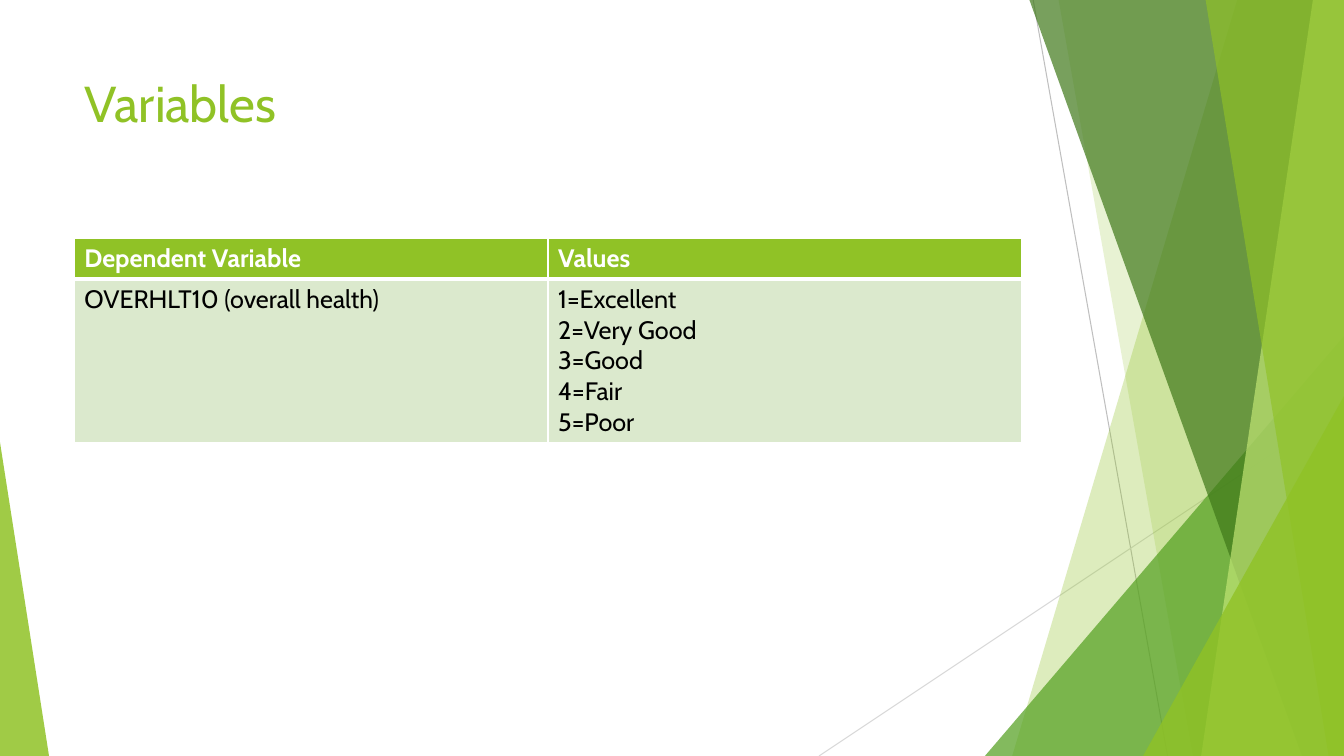
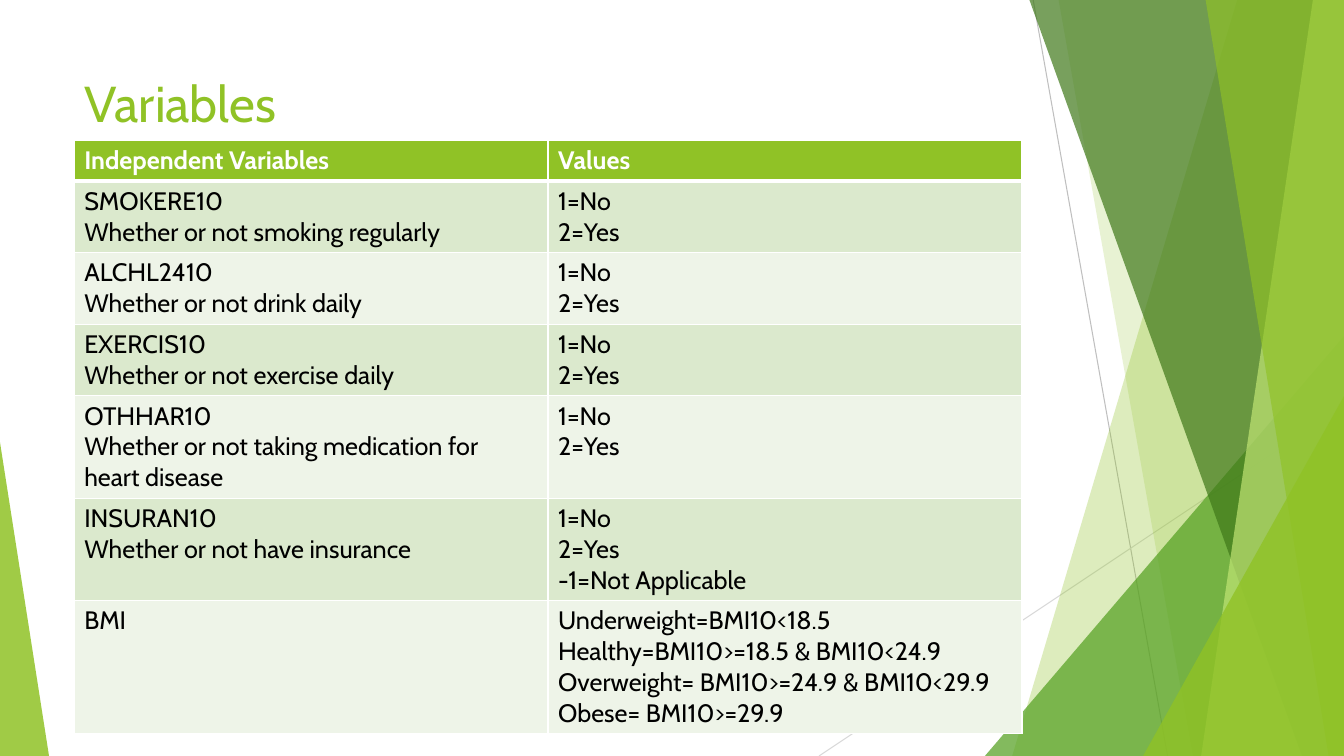
from math import ceil

from lxml import etree
from pptx import Presentation
from pptx.dml.color import RGBColor
from pptx.enum import shapes, text
from pptx.oxml.ns import qn
from pptx.util import Pt

WIDE, HIGH = 960, 540
LEFT, SPAN = 53, 677
FONT = "Cabin"
LIME, WHITE, BLACK = "90C226", "FFFFFF", "000000"
BANDS = ["DBE9CD", "EEF4E8"]
WRAP = 40  # characters that fit on one line of a cell
EDGE, THICK = 1, 3

YESNO = ["1=No", "2=Yes"]
SLIDES = [
    {"title": "Variables", "top": 170, "rows": [
        (["Dependent Variable"], ["Values"]),
        (["OVERHLT10 (overall health)"],
         ["1=Excellent", "2=Very Good", "3=Good", "4=Fair", "5=Poor"]),
    ]},
    {"title": "Variables", "top": 100, "rows": [
        (["Independent Variables"], ["Values"]),
        (["SMOKERE10", "Whether or not smoking regularly"], YESNO),
        (["ALCHL2410", "Whether or not drink daily"], YESNO),
        (["EXERCIS10", "Whether or not exercise daily"], YESNO),
        (["OTHHAR10", "Whether or not taking medication for heart disease"],
         YESNO),
        (["INSURAN10", "Whether or not have insurance"],
         YESNO + ["-1=Not Applicable"]),
        (["BMI"],
         ["Underweight=BMI10<18.5",
          "Healthy=BMI10>=18.5 & BMI10<24.9",
          "Overweight= BMI10>=24.9 & BMI10<29.9",
          "Obese= BMI10>=29.9"]),
    ]},
]

# Start, end, colour
LINES = [((738, 0), (834, HIGH), "BFBFBF"), ((WIDE, 290), (585, HIGH), "D9D9D9")]

# Back to front. Blade: x at top, x at foot. Wedge: left, top, width, peak.
FACETS = [
    ("blade", (884, 723), LIME, 30),
    ("blade", (756, 852), LIME, 20),
    ("wedge", (703.5, 240, 256.5, 1), "54A021", 72),
    ("blade", (735, 930), "3F7819", 70),
    ("blade", (938, 858), "C0E474", 70),
    ("blade", (861, 949), LIME, 65),
    ("wedge", (816.5, 283, 143.5, 1), LIME, 80),
    ("wedge", (0, 316, 35, 0), LIME, 85),
]


def rgb(code):
    return RGBColor.from_string(code)


def write(frame, lines, size=18, color=BLACK, bold=False):
    frame.word_wrap = True
    for i, line in enumerate(lines):
        para = frame.paragraphs[0] if i == 0 else frame.add_paragraph()
        para.alignment = text.PP_ALIGN.LEFT
        run = para.add_run()
        run.text = line
        font = run.font
        font.name, font.size, font.bold = FONT, Pt(size), bold
        font.color.rgb = rgb(color)


def blade(slide, top, foot):
    """Outline from a slanted left side to the right edge of the slide."""
    pen = slide.shapes.build_freeform(top, -1, scale=Pt(1))
    pen.add_line_segments([(WIDE, -1), (WIDE, HIGH), (foot, HIGH)], close=True)
    return pen.convert_to_shape()


def wedge(slide, left, top, width, peak):
    """Triangle that stands on the foot of the slide."""
    shape = slide.shapes.add_shape(
        shapes.MSO_SHAPE.ISOSCELES_TRIANGLE,
        Pt(left), Pt(top), Pt(width), Pt(HIGH - top))
    shape.adjustments[0] = peak
    return shape


def paint(shape, color, alpha):
    shape.shadow.inherit = False
    shape.fill.solid()
    shape.fill.fore_color.rgb = rgb(color)
    shade = shape.element.spPr.find(".//" + qn("a:srgbClr"))
    etree.SubElement(shade, qn("a:alpha"), val=str(alpha * 1000))
    shape.line.fill.background()


def decorate(slide):
    for start, end, color in LINES:
        line = slide.shapes.add_connector(
            shapes.MSO_CONNECTOR.STRAIGHT, *map(Pt, start + end))
        line.line.color.rgb = rgb(color)
        line.line.width = Pt(0.75)
        etree.SubElement(line.element.spPr, qn("a:effectLst"))
    make = {"blade": blade, "wedge": wedge}
    for kind, place, color, alpha in FACETS:
        paint(make[kind](slide, *place), color, alpha)


def head(slide, words):
    title = slide.shapes.title
    title.left, title.top = Pt(LEFT), Pt(48)
    title.width, title.height = Pt(SPAN), Pt(104)
    frame = title.text_frame
    frame.vertical_anchor = text.MSO_ANCHOR.TOP
    frame.auto_size = text.MSO_AUTO_SIZE.NONE
    write(frame, [words], size=36, color=LIME)


def border(cell, **widths):
    """Draw white cell sides; the keywords are L, R, T and B."""
    props = cell._tc.get_or_add_tcPr()
    for side, width in widths.items():
        line = etree.SubElement(props, qn("a:ln" + side), w=str(Pt(width)))
        fill = etree.SubElement(line, qn("a:solidFill"))
        etree.SubElement(fill, qn("a:srgbClr"), val=WHITE)


def tall(row):
    """Row height from the longest cell, wrapped lines included."""
    return 7 + 22 * max(sum(ceil(len(s) / WRAP) for s in cell) for cell in row)


def grid(slide, top, rows):
    highs = [tall(row) for row in rows]
    table = slide.shapes.add_table(
        len(rows), len(rows[0]),
        Pt(LEFT), Pt(top), Pt(SPAN), Pt(sum(highs))).table
    for r, row in enumerate(rows):
        table.rows[r].height = Pt(highs[r])
        first = r == 0
        for c, lines in enumerate(row):
            cell = table.cell(r, c)
            border(cell, L=EDGE, R=EDGE, T=THICK if r == 1 else EDGE,
                   B=THICK if first else EDGE)
            cell.fill.solid()
            cell.fill.fore_color.rgb = rgb(LIME if first else BANDS[(r - 1) % 2])
            write(cell.text_frame, lines, bold=first,
                  color=WHITE if first else BLACK)


def main():
    deck = Presentation()
    deck.slide_width, deck.slide_height = Pt(WIDE), Pt(HIGH)
    layout = deck.slide_layouts.get_by_name("Title Only")
    for page in SLIDES:
        slide = deck.slides.add_slide(layout)
        decorate(slide)
        head(slide, page["title"])
        grid(slide, page["top"], page["rows"])
    deck.save("out.pptx")


if __name__ == "__main__":
    main()
